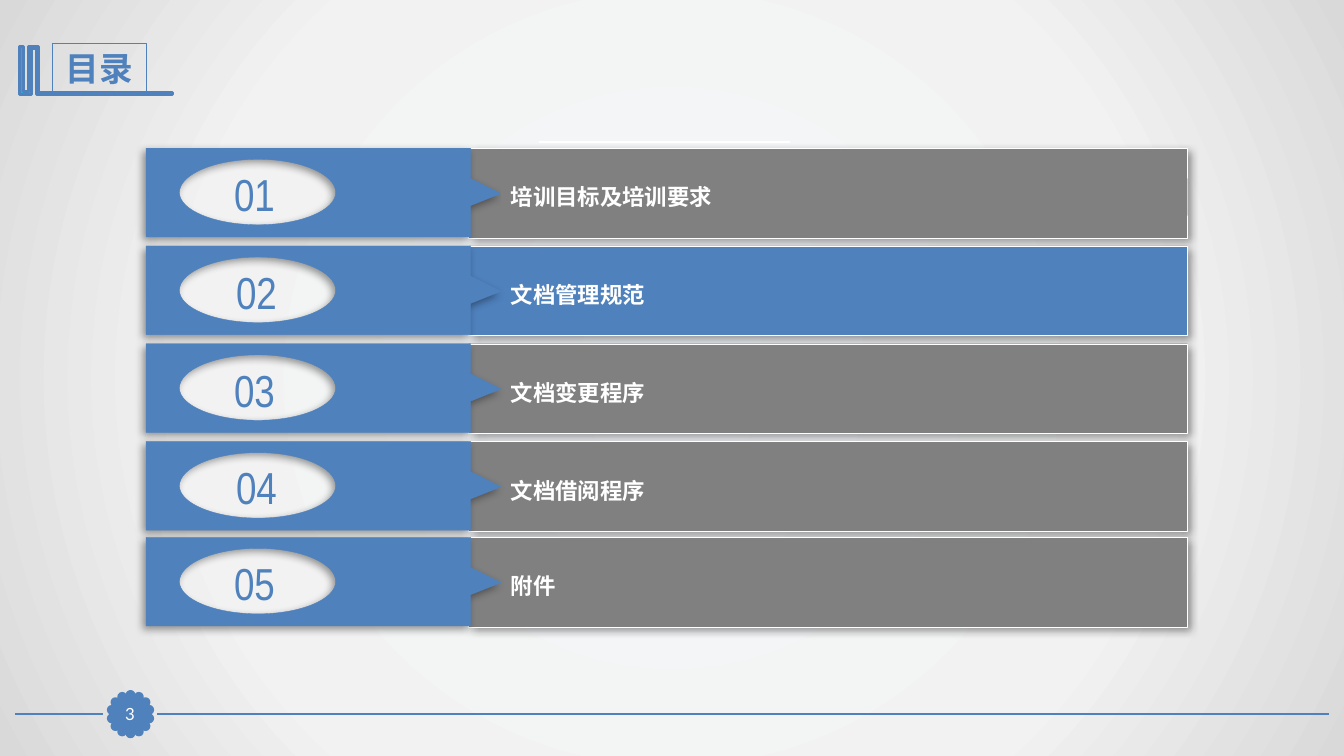
from dataclasses import dataclass
from math import cos, pi, sin
from typing import Optional

from pptx import Presentation
from pptx.dml.color import RGBColor
from pptx.enum.shapes import MSO_CONNECTOR, MSO_SHAPE
from pptx.enum.text import MSO_ANCHOR as Anchor, MSO_AUTO_SIZE as AutoSize, PP_ALIGN as Align
from pptx.oxml import parse_xml
from pptx.oxml.ns import nsdecls, qn
from pptx.oxml.xmlchemy import OxmlElement
from pptx.shapes.autoshape import Shape
from pptx.slide import Slide
from pptx.util import Emu, Pt

EMU_PER_PX = 9144  # 100 px to the inch
SLIDE_WIDTH, SLIDE_HEIGHT = Emu(12192000), Emu(6858000)
BLUE, GRAY, WHITE, CYAN = "4F81BD", "808080", "FFFFFF", "28A9D6"
NARROW, LATO = "Arial Narrow", "Lato"
Point = tuple[float, float]


@dataclass(frozen=True)
class Chapter:
    number: str
    title: str
    top: int
    number_left: int
    color: str = GRAY
    title_fill: Optional[str] = None


@dataclass(frozen=True)
class Rule:
    start: Point
    end: Point
    color: str
    weight: float


@dataclass(frozen=True)
class Lettering:
    size: int
    font: str
    color: str
    bold: bool = False
    align: Align = Align.LEFT
    anchor: Anchor = Anchor.TOP


CHAPTERS = [
    Chapter("01", "培训目标及培训要求", 147, 191, title_fill=GRAY),
    Chapter("02", "文档管理规范", 244, 193, BLUE),
    Chapter("03", "文档变更程序", 341, 191),
    Chapter("04", "文档借阅程序", 438, 193),
    Chapter("05", "附件", 533, 191),
]
FOOTER_RULES = [
    Rule((1318, 708), (156, 708), BLUE, 1.25),
    Rule((102, 708), (15, 708), BLUE, 1.25),
]
HIGHLIGHT = Rule((535, 141), (784, 141), WHITE, 1.5)
BOOK_MARK = [
    (37, 46), (38, 46), (38, 92), (171, 92), (171, 94), (36, 94), (36, 48), (31, 48),
    (31, 94), (19, 94), (19, 46), (23, 46), (23, 91), (28, 91), (28, 46),
]
TAB_OUTLINE = [(145, 0), (467, 0), (467, 30), (497, 45), (467, 57), (467, 88), (145, 88)]
TAB_HOLE = [(256, 11), (178, 44), (256, 76), (333, 44), (256, 11)]
ARC_PULL = 0.55  # control points of a quarter ellipse
PETALS = 14

HEADING = Lettering(24, NARROW, BLUE, True, Align.CENTER, Anchor.MIDDLE)
PAGE_NUMBER = Lettering(12, LATO, WHITE, False, Align.CENTER, Anchor.MIDDLE)
CHAPTER_NUMBER = Lettering(32, NARROW, BLUE, False, Align.CENTER, Anchor.MIDDLE)
CHAPTER_TITLE = Lettering(16, LATO, WHITE, True)


def px(length: float) -> Emu:
    return Emu(round(length * EMU_PER_PX))


def rgb(color: str) -> RGBColor:
    return RGBColor.from_string(color)


def paint(shape: Shape, fill: Optional[str], line: str, weight: float) -> Shape:
    shape.shadow.inherit = False
    if fill:
        shape.fill.solid()
        shape.fill.fore_color.rgb = rgb(fill)
    else:
        shape.fill.background()
    shape.line.color.rgb = rgb(line)
    shape.line.width = Pt(weight)
    return shape


def add_block(slide: Slide, kind: MSO_SHAPE, left: float, top: float, width: int, height: int,
              fill: Optional[str], line: str, weight: float) -> Shape:
    block = slide.shapes.add_shape(kind, px(left), px(top), px(width), px(height))
    return paint(block, fill, line, weight)


def add_outline(slide: Slide, contours: list[list[Point]], top: int,
                fill: str, line: str, weight: float) -> Shape:
    first, *others = [[(px(x), px(y + top)) for x, y in contour] for contour in contours]
    builder = slide.shapes.build_freeform(*first[0])
    builder.add_line_segments(first[1:])
    for contour in others:
        builder.move_to(*contour[0])
        builder.add_line_segments(contour[1:])
    return paint(builder.convert_to_shape(), fill, line, weight)


def round_hole(tab: Shape) -> None:
    """Turn the four sides of the first contour into quarter ellipses."""
    outline = tab._element.spPr.find(".//" + qn("a:path"))
    corners = [(int(pt.get("x")), int(pt.get("y"))) for pt in outline.iter(qn("a:pt"))][:5]
    sides = outline.findall(qn("a:lnTo"))[:4]
    for i, (side, start, end) in enumerate(zip(sides, corners, corners[1:])):
        corner = (end[0], start[1]) if i % 2 == 0 else (start[0], end[1])
        controls = [
            tuple(round(a + ARC_PULL * (c - a)) for a, c in zip(anchor, corner))
            for anchor in (start, end)
        ]
        points = "".join(f'<a:pt x="{x}" y="{y}"/>' for x, y in [*controls, end])
        outline.replace(side, parse_xml(
            f'<a:cubicBezTo {nsdecls("a")}>{points}</a:cubicBezTo>'))


def cast_shadow(shape: Shape, degrees: int) -> None:
    effects = shape._element.spPr.find(qn("a:effectLst"))
    effects.append(parse_xml(
        f'<a:outerShdw {nsdecls("a")} blurRad="{Pt(6)}" dist="{Pt(3)}" '
        f'dir="{degrees * 60000}" algn="ctr" rotWithShape="0">'
        '<a:srgbClr val="000000"><a:alpha val="40000"/></a:srgbClr></a:outerShdw>'))


def write(shape: Shape, wording: str, style: Lettering) -> None:
    frame = shape.text_frame
    frame.word_wrap = True
    frame.vertical_anchor = style.anchor
    paragraph = frame.paragraphs[0]
    paragraph.alignment = style.align
    run = paragraph.add_run()
    run.text = wording
    run.font.size = Pt(style.size)
    run.font.name = style.font
    run.font.bold = style.bold
    run.font.color.rgb = rgb(style.color)


def add_label(slide: Slide, left: int, top: int, width: int, height: int,
              wording: str, style: Lettering, fill: Optional[str] = None) -> None:
    label = slide.shapes.add_textbox(px(left), px(top), px(width), px(height))
    write(label, wording, style)
    label.text_frame.auto_size = AutoSize.SHAPE_TO_FIT_TEXT
    if fill:
        label.fill.solid()
        label.fill.fore_color.rgb = rgb(fill)


def add_rule(slide: Slide, rule: Rule) -> None:
    connector = slide.shapes.add_connector(
        MSO_CONNECTOR.STRAIGHT, *map(px, rule.start), *map(px, rule.end))
    connector.line.color.rgb = rgb(rule.color)
    connector.line.width = Pt(rule.weight)
    connector._element.spPr.append(OxmlElement("a:effectLst"))


def set_background(slide: Slide) -> None:
    stops = "".join(
        f'<a:gs pos="{percent * 1000}"><a:srgbClr val="{color}"/></a:gs>'
        for percent, color in [(0, "F6F9FC"), (63, "F2F2F2"), (100, "D9D9D9")])
    slide._element.cSld.insert(0, parse_xml(
        f'<p:bg {nsdecls("p", "a")}><p:bgPr><a:gradFill rotWithShape="1">'
        f'<a:gsLst>{stops}</a:gsLst><a:path path="circle">'
        '<a:fillToRect l="50000" t="50000" r="50000" b="50000"/></a:path>'
        '</a:gradFill><a:effectLst/></p:bgPr></p:bg>'))


def add_chapter(slide: Slide, chapter: Chapter) -> None:
    top = chapter.top
    band = add_block(slide, MSO_SHAPE.RECTANGLE, 465, top, 713, 89, chapter.color, WHITE, 0.25)
    cast_shadow(band, 45)
    tab = add_outline(slide, [TAB_HOLE, TAB_OUTLINE], top, BLUE, BLUE, 0.25)
    round_hole(tab)
    cast_shadow(tab, 135)
    add_label(slide, chapter.number_left, top + 13, 123, 64, chapter.number, CHAPTER_NUMBER)
    add_label(slide, 497, top + 30, 681, 37, chapter.title, CHAPTER_TITLE, chapter.title_fill)


def main() -> None:
    deck = Presentation()
    deck.slide_width, deck.slide_height = SLIDE_WIDTH, SLIDE_HEIGHT
    slide = deck.slides.add_slide(deck.slide_layouts[6])
    set_background(slide)

    # Footer rules and scalloped page badge
    for rule in FOOTER_RULES:
        add_rule(slide, rule)
    for i in range(PETALS):
        angle = 2 * pi * i / PETALS
        add_block(slide, MSO_SHAPE.OVAL, 126 + 19 * sin(angle), 705 - 19 * cos(angle),
                  7, 7, BLUE, BLUE, 2)

    # Heading with book mark
    add_outline(slide, [BOOK_MARK], 0, CYAN, BLUE, 2)
    heading = add_block(slide, MSO_SHAPE.RECTANGLE, 52, 43, 93, 50, None, BLUE, 0.75)
    write(heading, "目录", HEADING)
    heading.text_frame.auto_size = AutoSize.SHAPE_TO_FIT_TEXT

    # Page number
    badge = add_block(slide, MSO_SHAPE.RECTANGLE, 113, 693, 32, 31, BLUE, BLUE, 0.75)
    write(badge, "3", PAGE_NUMBER)
    inner = badge.text_frame
    inner.margin_left = inner.margin_right = inner.margin_top = inner.margin_bottom = 0

    # Chapter list
    add_rule(slide, HIGHLIGHT)
    for chapter in CHAPTERS:
        add_chapter(slide, chapter)

    deck.save("out.pptx")


if __name__ == "__main__":
    main()
